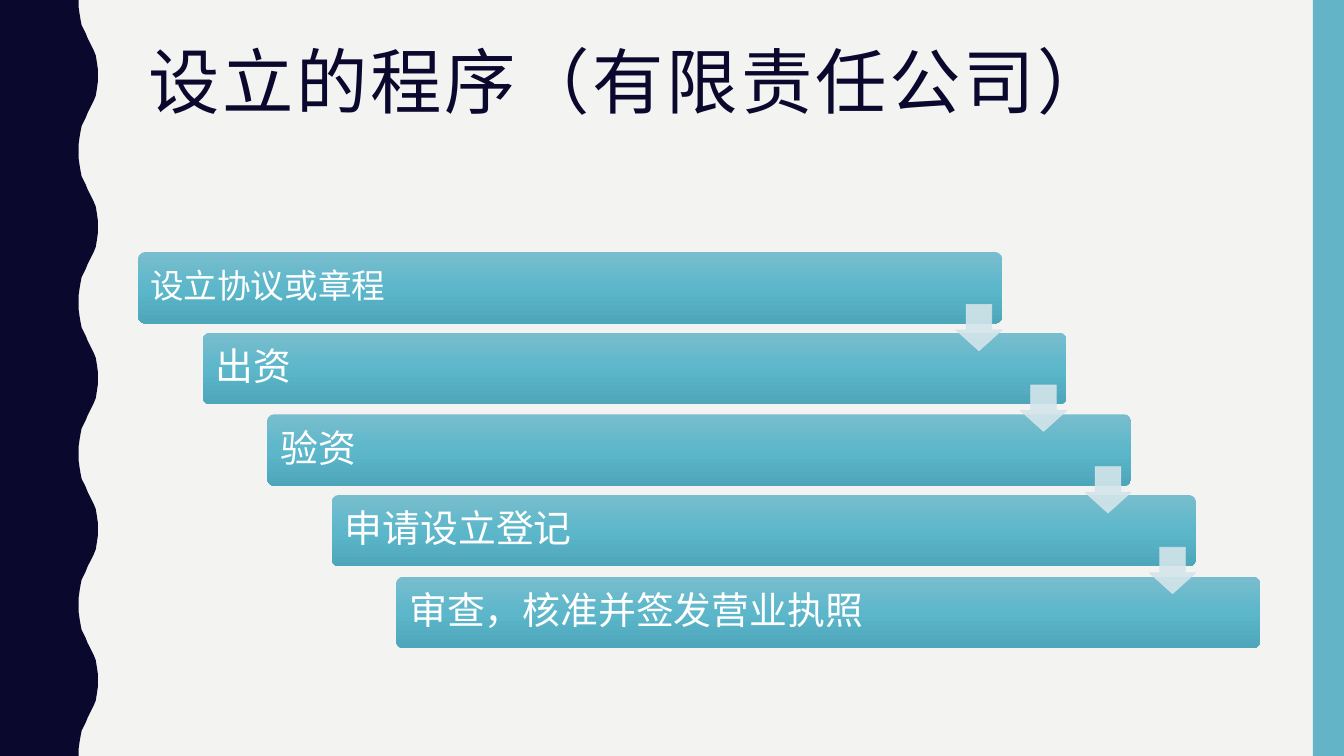
from copy import deepcopy

from lxml import etree
from pptx import Presentation
from pptx.dml.color import RGBColor
from pptx.enum.shapes import MSO_SHAPE
from pptx.enum.text import MSO_ANCHOR, PP_ALIGN
from pptx.oxml.ns import qn
from pptx.util import Pt

RECT = MSO_SHAPE.RECTANGLE
ROUND = MSO_SHAPE.ROUNDED_RECTANGLE
DOWN = MSO_SHAPE.DOWN_ARROW
TOP, MIDDLE = MSO_ANCHOR.TOP, MSO_ANCHOR.MIDDLE
LEFT = PP_ALIGN.LEFT
PX = 9144
WIDE, HIGH = 1333, 750
COLORS = {"paper": "F3F3F2", "navy": "0B082E", "edge": "62B4C6", "white": "FFFFFF",
          "light": "78BDCD", "mid": "5DB7CB", "deep": "4DA6BA", "arrow": "D3E5EA"}
STEPS = ["设立协议或章程", "出资", "验资", "申请设立登记", "审查，核准并签发营业执照"]
CURVE = [(78, 0), (78, 7), (79, 14), (80, 20), (81, 25), (83, 29), (85, 33), (87, 38),
         (89, 42), (91, 46), (93, 50), (95, 55), (96, 61), (97, 68), (97, 75)]
PERIOD = 150


def color(name):
    return RGBColor.from_string(COLORS[name])


def fade(fill_xml, percent):
    for tone in fill_xml.iter(qn("a:srgbClr")):
        etree.SubElement(tone, qn("a:alpha")).set("val", str(percent * 1000))


def write(shape, text, size, font, tone, anchor=TOP, inset=(10, 5), space=0):
    frame = shape.text_frame
    frame.word_wrap = True
    frame.vertical_anchor = anchor
    frame.margin_left = frame.margin_right = inset[0] * PX
    frame.margin_top = frame.margin_bottom = inset[1] * PX
    para = frame.paragraphs[0]
    para.alignment = LEFT
    para.line_spacing = 0.9
    run = para.add_run()
    run.text = text
    run.font.size = Pt(size)
    run.font.name = font
    run.font.color.rgb = color(tone)
    if space:
        run.font._element.set("spc", str(space * 100))


class Deck:
    """Holds the slide and draws each kind of element on it."""

    def __init__(self):
        self.show = Presentation()
        self.show.slide_width, self.show.slide_height = WIDE * PX, HIGH * PX
        self.slide = self.show.slides.add_slide(self.show.slide_layouts[6])
        back = self.slide.background.fill
        back.solid()
        back.fore_color.rgb = color("paper")

    def paint(self, shape, tone):
        shape.shadow.inherit = False
        shape.fill.solid()
        shape.fill.fore_color.rgb = color(tone)
        shape.line.fill.background()

    def block(self, kind, x, y, w, h, tone):
        shape = self.slide.shapes.add_shape(kind, x * PX, y * PX, w * PX, h * PX)
        self.paint(shape, tone)
        return shape

    def wave(self, tone):
        cycle = CURVE + [(x, PERIOD - y) for x, y in CURVE[-2::-1]]
        points = [(x, y + top) for top in range(0, HIGH, PERIOD) for x, y in cycle]
        build = self.slide.shapes.build_freeform(0, 0, PX)
        build.add_line_segments(points + [(0, HIGH)])
        self.paint(build.convert_to_shape(), tone)

    def title(self, x, y, w, h, text):
        box = self.slide.shapes.add_textbox(x * PX, y * PX, w * PX, h * PX)
        write(box, text, 51, "Roboto Condensed", "navy", space=2)

    def bar(self, x, y, w, h, text, size, inset):
        shape = self.block(ROUND, x, y, w, h, "mid")
        shape.adjustments[0] = 0.1
        shape.fill.gradient()
        shape.fill.gradient_angle = 270
        stops = shape._element.spPr.find(".//" + qn("a:gsLst"))
        stops.insert(1, deepcopy(stops[0]))
        for i, (stop, tone) in enumerate(zip(shape.fill.gradient_stops, ("light", "mid", "deep"))):
            stop.position = i / 2
            stop.color.rgb = color(tone)
        write(shape, text, size, "Calibri", "white", MIDDLE, (inset, inset))

    def arrow(self, x, y, size):
        shape = self.block(DOWN, x, y, size, size, "arrow")
        shape.adjustments[0], shape.adjustments[1] = 0.55, 0.45
        shape.line.color.rgb = color("arrow")
        shape.line.width = Pt(0.5)
        fade(shape._element.spPr, 90)


def main():
    deck = Deck()
    deck.wave("navy")
    deck.block(RECT, 1302, 0, 31, HIGH, "edge")
    deck.title(137, 42, 1113, 163, "设立的程序（有限责任公司）")
    spots = [(137 + 64 * i, 250 + 161 * i // 2) for i in range(len(STEPS))]
    for i, ((x, y), text) in enumerate(zip(spots, STEPS)):
        size, inset = (27, 11) if i else (24, 10)
        deck.bar(x, y, 857, 71, text, size, inset)
    for x, y in spots[:-1]:
        deck.arrow(x + 811, y + 52, 46)
    deck.show.save("out.pptx")


if __name__ == "__main__":
    main()
